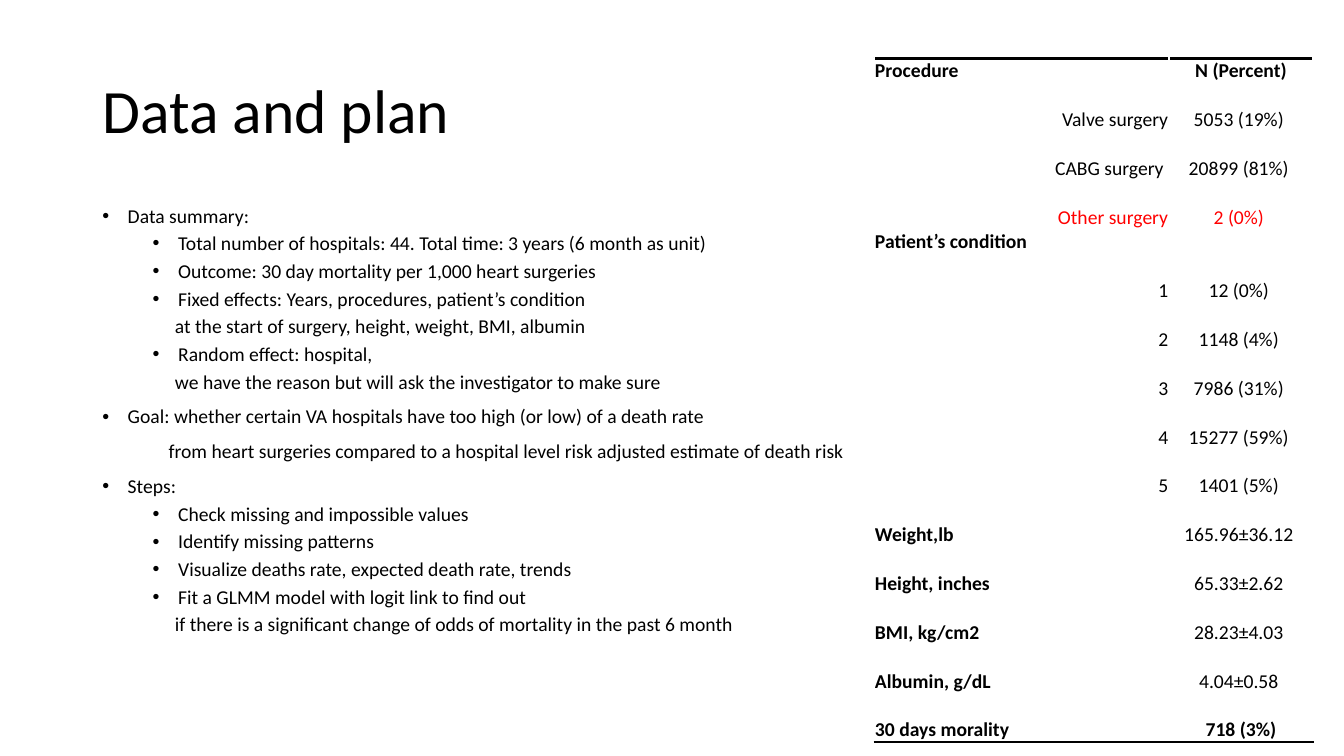
from pptx import Presentation, util as u
from pptx.dml.color import RGBColor
from pptx.enum import text
from pptx.oxml import parse_xml
from lxml import etree

Cm, Pt = u.Cm, u.Pt
A = "http://schemas.openxmlformats.org/drawingml/2006/main"


def hue(code):
    return RGBColor.from_string(code)


def write(para, words, size=14, bold=False, color="000000"):
    run = para.add_run()
    run.text = words
    font = run.font
    font.name, font.size, font.bold = "Calibri", Pt(size), bold
    font.color.rgb = hue(color)


deck = Presentation()
deck.slide_width, deck.slide_height = Cm(33.87), Cm(19.05)
slide = deck.slides.add_slide(deck.slide_layouts[5])

title = slide.shapes.title
title.left, title.top, title.width, title.height = Cm(2.33), Cm(1.01), Cm(29.21), Cm(3.68)
title.text_frame.vertical_anchor = text.MSO_ANCHOR.MIDDLE
head = title.text_frame.paragraphs[0]
head.alignment = text.PP_ALIGN.LEFT
head.line_spacing = 0.9
write(head, "Data and plan", 44)

# kind: left margin, first-line indent, space before, bullet
kinds = {
    "main": (0.64, -0.64, 10, True),
    "sub": (1.91, -0.64, 5, True),
    "more": (1.83, 0, 5, False),
    "wide": (1.67, 0, 10, False),
}
lines = [
    ("main", "Data summary:"),
    ("sub", "Total number of hospitals: 44. Total time: 3 years (6 month as unit)"),
    ("sub", "Outcome: 30 day mortality per 1,000 heart surgeries"),
    ("sub", "Fixed effects: Years, procedures, patient’s condition"),
    ("more", "at the start of surgery, height, weight, BMI, albumin"),
    ("sub", "Random effect: hospital,"),
    ("more", "we have the reason but will ask the investigator to make sure"),
    ("main", "Goal: whether certain VA hospitals have too high (or low) of a death rate"),
    ("wide", "from heart surgeries compared to a hospital level risk adjusted estimate of death risk"),
    ("main", "Steps:"),
    ("sub", "Check missing and impossible values"),
    ("sub", "Identify missing patterns"),
    ("sub", "Visualize deaths rate, expected death rate, trends"),
    ("sub", "Fit a GLMM model with logit link to find out"),
    ("more", "if there is a significant change of odds of mortality in the past 6 month"),
]
frame = slide.shapes.add_textbox(Cm(2.33), Cm(5.08), Cm(29.21), Cm(12.09)).text_frame
frame.word_wrap = True
for i, (kind, words) in enumerate(lines):
    left, first, space, dot = kinds[kind]
    para = frame.add_paragraph() if i else frame.paragraphs[0]
    para.line_spacing = 0.88
    para.space_before = Pt(space if i else 0)
    props = para._p.get_or_add_pPr()
    props.set("marL", str(Cm(left)))
    props.set("indent", str(Cm(first)))
    if dot:
        etree.SubElement(props, f"{{{A}}}buFont").set("typeface", "Arial")
        etree.SubElement(props, f"{{{A}}}buChar").set("char", "•")
    write(para, words)

rows = [
    ("Procedure", "N (Percent)"),
    ("Valve surgery", "5053 (19%) "),
    ("CABG surgery ", "20899 (81%) "),
    ("Other surgery", "2 (0%) "),
    ("Patient’s condition", ""),
    ("1", "12 (0%) "),
    ("2", "1148 (4%) "),
    ("3", "7986 (31%) "),
    ("4", "15277 (59%) "),
    ("5", "1401 (5%) "),
    ("Weight,lb", "165.96±36.12 "),
    ("Height, inches", "65.33±2.62 "),
    ("BMI, kg/cm2", "28.23±4.03 "),
    ("Albumin, g/dL", "4.04±0.58 "),
    ("30 days morality", "718 (3%)"),
]
last = len(rows) - 1
short = (0, 4)
inner = (1, 2, 3, 5, 6, 7, 8, 9)
edges = {0: "lnT", last: "lnB"}
table = slide.shapes.add_table(len(rows), 2, Cm(22.03), Cm(1.47), Cm(11.06), Cm(17.23)).table
table.first_row = table.horz_banding = False
table.columns[0].width, table.columns[1].width = Cm(7.43), Cm(3.63)
for r, row in enumerate(rows):
    table.rows[r].height = Cm(0.62 if r in short else 1.23)
    for c, words in enumerate(row):
        cell = table.cell(r, c)
        cell.fill.solid()
        cell.fill.fore_color.rgb = hue("FFFFFF")
        cell.vertical_anchor = text.MSO_ANCHOR.BOTTOM
        cell.margin_left = cell.margin_right = cell.margin_top = Cm(0.02)
        cell.margin_bottom = 0
        para = cell.text_frame.paragraphs[0]
        if c:
            para.alignment = text.PP_ALIGN.CENTER
        elif r in inner:
            para.alignment = text.PP_ALIGN.RIGHT
        if words:
            bold = r in (0, last) or c == 0 and r not in inner
            write(para, words, bold=bold, color="FF0000" if r == 3 else "000000")
        else:
            para._p.get_or_add_endParaRPr().set("sz", "1400")
        if r in edges:
            tag = edges[r]
            cell._tc.get_or_add_tcPr().insert(0, parse_xml(
                f'<a:{tag} xmlns:a="{A}" w="{Pt(2)}"><a:solidFill>'
                f'<a:srgbClr val="000000"/></a:solidFill></a:{tag}>'))

deck.save("out.pptx")
